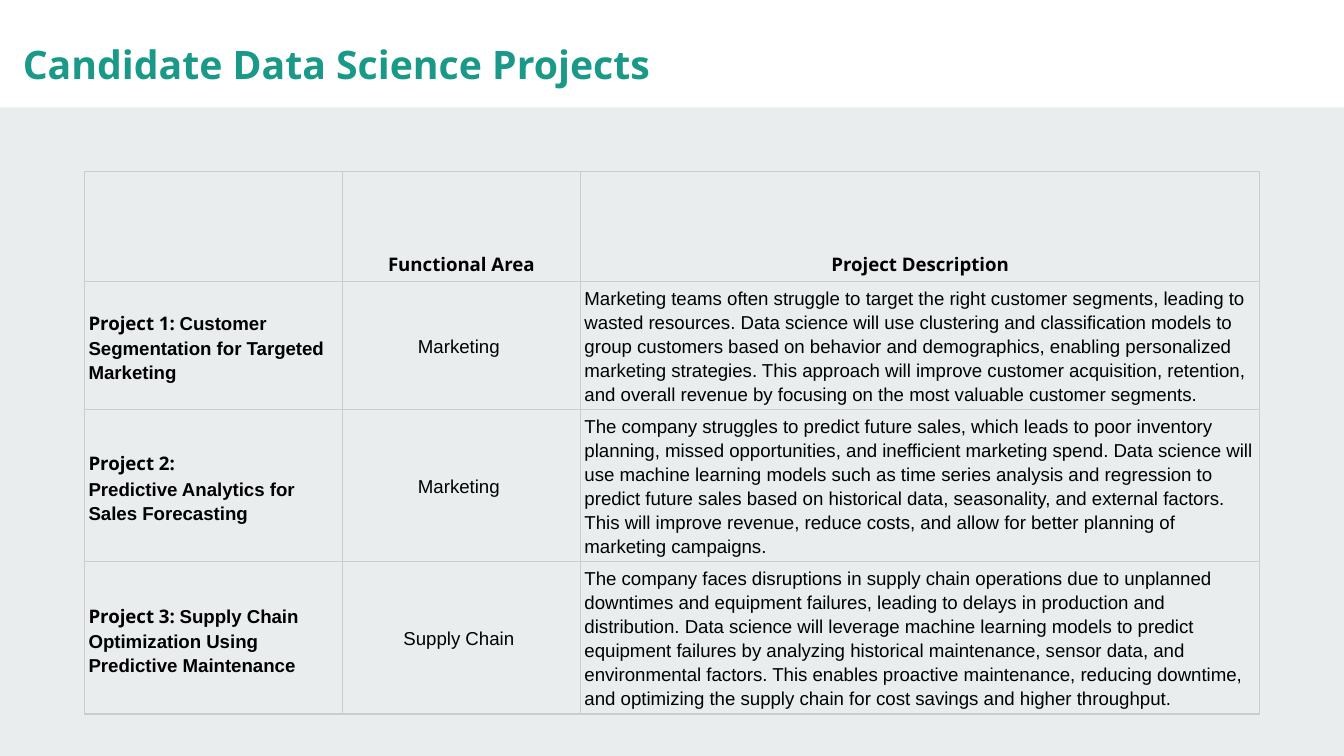
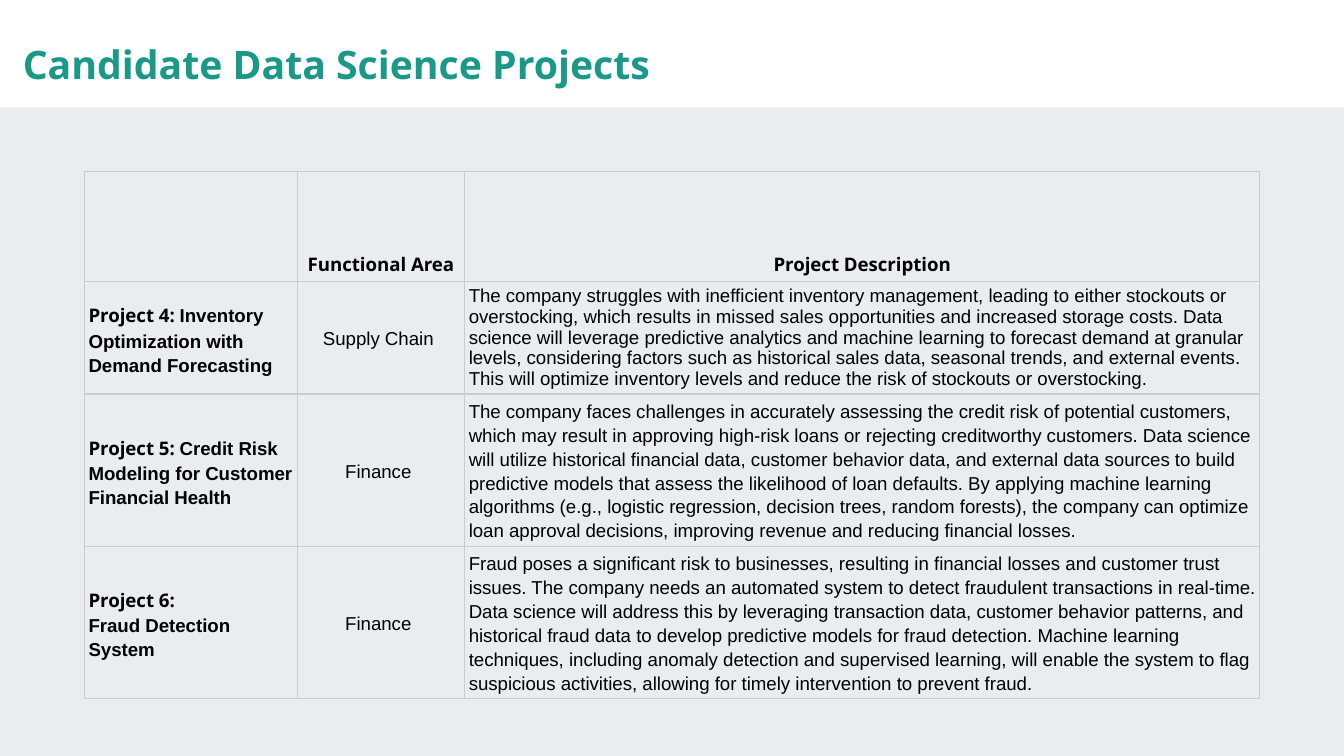
from dataclasses import dataclass

from lxml.etree import SubElement
from pptx import Presentation
from pptx.dml.color import RGBColor as RGB
from pptx.enum.shapes import MSO_SHAPE as SHAPE
from pptx.enum.text import MSO_ANCHOR as ANCHOR, MSO_AUTO_SIZE as AUTO, PP_ALIGN as ALIGN
from pptx.oxml.ns import qn
from pptx.util import Pt


@dataclass(frozen=True)
class Theme:
    background: RGB = RGB.from_string("E9EDEE")
    band: RGB = RGB.from_string("FFFFFF")
    accent: RGB = RGB.from_string("1A9988")
    text: RGB = RGB.from_string("000000")
    border: str = "CCCCCC"
    border_width: float = 0.75
    heading_font: str = "Open Sans"
    body_font: str = "Arial"
    title_size: float = 21
    table_size: float = 10
    spacing: float = 1.15
    title_inset: float = 7.2
    cell_inset: float = 2.25


@dataclass(frozen=True)
class Project:
    number: int
    name: str
    area: str
    description: str
    own_line: bool = False  # name starts below the project number
    spacing: float = Theme.spacing


THEME = Theme()
WIDTH, HEIGHT, BAND_HEIGHT = 720, 405, 57.6
TITLE = "Candidate Data Science Projects"
TITLE_BOX = (5, 10.8, 607.7, 26.6)
HEADERS = ("Functional Area", "Project Description")
TABLE_LEFT, TABLE_TOP = 45.2, 91.7
HEADER_HEIGHT, ROW_HEIGHT = 59, 31.5

# Each slide: column widths and its projects
SLIDES = [
    ((138.2, 127.5, 364), [
        Project(1, "Customer Segmentation for Targeted Marketing", "Marketing ",
                "Marketing teams often struggle to target the right customer segments, "
                "leading to wasted resources. Data science will use clustering and "
                "classification models to group customers based on behavior and "
                "demographics, enabling personalized marketing strategies. This approach "
                "will improve customer acquisition, retention, and overall revenue by "
                "focusing on the most valuable customer segments."),
        Project(2, "Predictive Analytics for Sales Forecasting", "Marketing ",
                "The company struggles to predict future sales, which leads to poor "
                "inventory planning, missed opportunities, and inefficient marketing "
                "spend. Data science will use machine learning models such as time series "
                "analysis and regression to predict future sales based on historical data, "
                "seasonality, and external factors. This will improve revenue, reduce "
                "costs, and allow for better planning of marketing campaigns.",
                own_line=True),
        Project(3, "Supply Chain Optimization Using Predictive Maintenance",
                "Supply Chain ",
                "The company faces disruptions in supply chain operations due to unplanned "
                "downtimes and equipment failures, leading to delays in production and "
                "distribution. Data science will leverage machine learning models to "
                "predict equipment failures by analyzing historical maintenance, sensor "
                "data, and environmental factors. This enables proactive maintenance, "
                "reducing downtime, and optimizing the supply chain for cost savings and "
                "higher throughput."),
    ]),
    ((114, 89.7, 426), [
        Project(4, "Inventory Optimization with Demand Forecasting", "Supply Chain ",
                "The company struggles with inefficient inventory management, leading to "
                "either stockouts or overstocking, which results in missed sales "
                "opportunities and increased storage costs. Data science will leverage "
                "predictive analytics and machine learning to forecast demand at granular "
                "levels, considering factors such as historical sales data, seasonal "
                "trends, and external events. This will optimize inventory levels and "
                "reduce the risk of stockouts or overstocking.",
                spacing=1.0),
        Project(5, "Credit Risk Modeling for Customer Financial Health", "Finance ",
                "The company faces challenges in accurately assessing the credit risk of "
                "potential customers, which may result in approving high-risk loans or "
                "rejecting creditworthy customers. Data science will utilize historical "
                "financial data, customer behavior data, and external data sources to "
                "build predictive models that assess the likelihood of loan defaults. By "
                "applying machine learning algorithms (e.g., logistic regression, decision "
                "trees, random forests), the company can optimize loan approval decisions, "
                "improving revenue and reducing financial losses."),
        Project(6, "Fraud Detection System", "Finance ",
                "Fraud poses a significant risk to businesses, resulting in financial "
                "losses and customer trust issues. The company needs an automated system "
                "to detect fraudulent transactions in real-time. Data science will address "
                "this by leveraging transaction data, customer behavior patterns, and "
                "historical fraud data to develop predictive models for fraud detection. "
                "Machine learning techniques, including anomaly detection and supervised "
                "learning, will enable the system to flag suspicious activities, allowing "
                "for timely intervention to prevent fraud.",
                own_line=True),
    ]),
]


def set_attrs(obj, values):
    for name, value in values.items():
        setattr(obj, name, value)


def margins(inset):
    return {f"margin_{side}": Pt(inset) for side in ("left", "right", "top", "bottom")}


def add_run(p, text, font, size=THEME.table_size, color=THEME.text, bold=False):
    r = p.add_run()
    r.text = text
    set_attrs(r.font, {"name": font, "size": Pt(size), "bold": bold})
    r.font.color.rgb = color


def add_band(s, layout):
    """Put the white title band on the layout, behind its placeholders."""
    sp = s.shapes.add_shape(SHAPE.RECTANGLE, 0, 0, Pt(WIDTH), Pt(BAND_HEIGHT))
    sp.shadow.inherit = False
    sp.fill.solid()
    sp.fill.fore_color.rgb = THEME.band
    sp.line.fill.background()
    layout.shapes._spTree.insert(2, sp._element)


def add_title(s, text):
    sp = s.shapes.title
    set_attrs(sp, dict(zip(("left", "top", "width", "height"), map(Pt, TITLE_BOX))))
    tf = sp.text_frame
    set_attrs(tf, {"word_wrap": True, "auto_size": AUTO.NONE,
                   "vertical_anchor": ANCHOR.TOP, **margins(THEME.title_inset)})
    p = tf.paragraphs[0]
    set_attrs(p, {"alignment": ALIGN.LEFT, "line_spacing": THEME.spacing})
    add_run(p, text, THEME.heading_font, THEME.title_size, THEME.accent, True)


def style_cell(cell):
    cell.fill.background()
    tc_pr = cell._tc.get_or_add_tcPr()
    for i, side in enumerate(("lnL", "lnR", "lnT", "lnB")):
        ln = SubElement(tc_pr, qn(f"a:{side}"), w=str(Pt(THEME.border_width)))
        fill = SubElement(ln, qn("a:solidFill"))
        SubElement(fill, qn("a:srgbClr"), val=THEME.border)
        tc_pr.insert(i, ln)  # borders come before the fill


def fill_cell(cell, paragraphs, align=ALIGN.LEFT, anchor=ANCHOR.MIDDLE,
              spacing=THEME.spacing):
    """Write paragraphs, each a list of (text, font, bold) runs."""
    set_attrs(cell, {"vertical_anchor": anchor, **margins(THEME.cell_inset)})
    tf = cell.text_frame
    for i, runs in enumerate(paragraphs):
        p = tf.add_paragraph() if i else tf.paragraphs[0]
        set_attrs(p, {"alignment": align, "line_spacing": spacing})
        for text, font, bold in runs:
            add_run(p, text, font, bold=bold)


def fill_project(cells, project):
    name_cell, area_cell, description_cell = cells
    label = (f"Project {project.number}:", THEME.heading_font, True)
    name = (project.name, THEME.body_font, True)
    if project.own_line:
        fill_cell(name_cell, [[label], [name]])
    else:
        fill_cell(name_cell, [[(label[0] + " ", *label[1:]), name]])
    fill_cell(area_cell, [[(project.area, THEME.body_font, False)]], ALIGN.CENTER)
    fill_cell(description_cell, [[(project.description, THEME.body_font, False)]],
              spacing=project.spacing)


def add_project_table(s, widths, projects):
    heights = [HEADER_HEIGHT] + [ROW_HEIGHT] * len(projects)
    table = s.shapes.add_table(len(heights), len(widths), Pt(TABLE_LEFT), Pt(TABLE_TOP),
                               Pt(sum(widths)), Pt(sum(heights))).table
    set_attrs(table, {"first_row": False, "horz_banding": False})
    for column, width in zip(table.columns, widths):
        column.width = Pt(width)
    for row, height in zip(table.rows, heights):
        row.height = Pt(height)
    for cell in table.iter_cells():
        style_cell(cell)
    # Header row, its first cell left empty
    for col, text in enumerate(HEADERS, 1):
        fill_cell(table.cell(0, col), [[(text, THEME.heading_font, True)]],
                  ALIGN.CENTER, ANCHOR.BOTTOM)
    # One row for each project
    for row, project in enumerate(projects, 1):
        fill_project(table.rows[row].cells, project)


def main():
    prs = Presentation()
    set_attrs(prs, {"slide_width": Pt(WIDTH), "slide_height": Pt(HEIGHT)})
    background = prs.slide_master.background.fill
    background.solid()
    background.fore_color.rgb = THEME.background
    layout = prs.slide_layouts.get_by_name("Title Only")
    for i, (widths, projects) in enumerate(SLIDES):
        s = prs.slides.add_slide(layout)
        if i == 0:
            add_band(s, layout)
        add_title(s, TITLE)
        add_project_table(s, widths, projects)
    prs.save("out.pptx")


if __name__ == "__main__":
    main()
